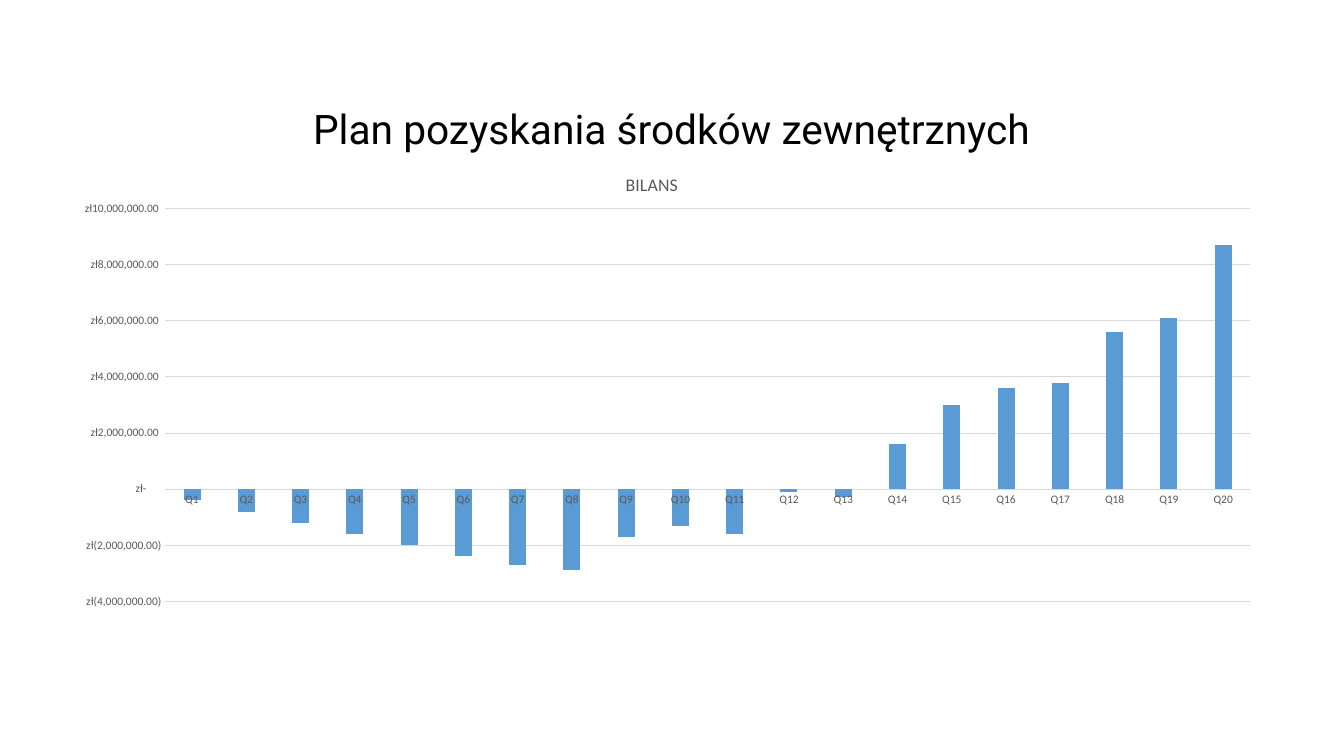
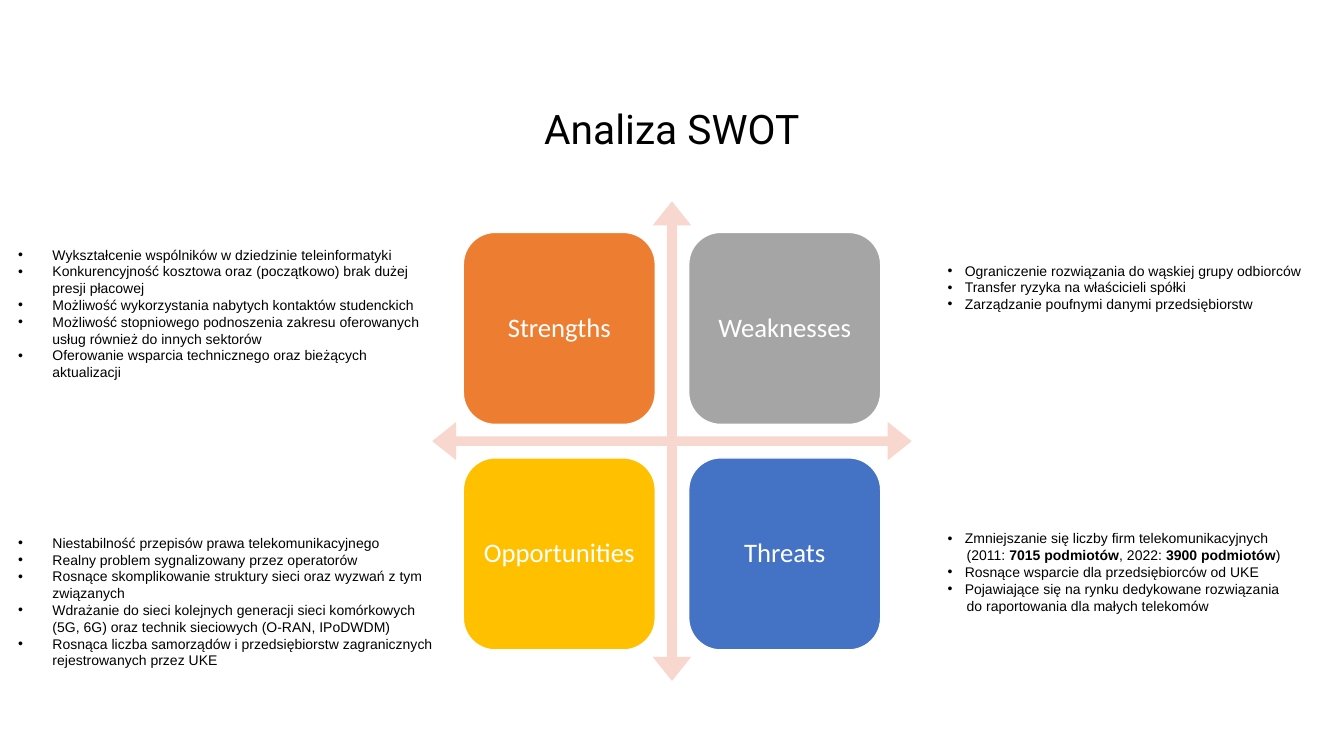
"""Builds the funding chart slide and the SWOT slide."""
from dataclasses import dataclass
from typing import Any, NamedTuple

from lxml import etree
from pptx import Presentation
from pptx.chart.chart import Chart
from pptx.chart.data import CategoryChartData
from pptx.dml.color import RGBColor
from pptx.enum.chart import XL_CHART_TYPE, XL_TICK_MARK
from pptx.enum.shapes import MSO_SHAPE
from pptx.enum.text import MSO_ANCHOR, MSO_AUTO_SIZE, PP_ALIGN
from pptx.oxml.ns import qn
from pptx.slide import Slide
from pptx.util import Pt

COLUMNS = XL_CHART_TYPE.COLUMN_CLUSTERED
NO_TICK = XL_TICK_MARK.NONE
QUAD_ARROW = MSO_SHAPE.QUAD_ARROW
ROUNDED = MSO_SHAPE.ROUNDED_RECTANGLE
MIDDLE = MSO_ANCHOR.MIDDLE
FIT_SHAPE = MSO_AUTO_SIZE.SHAPE_TO_FIT_TEXT
CENTER = PP_ALIGN.CENTER

SLIDE_WIDTH, SLIDE_HEIGHT = 1057.68, 594.72


@dataclass(frozen=True)
class Theme:
    """Colours, fonts and type sizes."""
    black: str = "000000"
    white: str = "FFFFFF"
    grey: str = "595959"
    rule: str = "D9D9D9"
    bar: str = "5B9BD5"
    arrow: str = "F8D7CE"
    strengths: str = "ED7D31"
    weaknesses: str = "A5A5A5"
    opportunities: str = "FFC000"
    threats: str = "4472C4"
    title_font: str = "Roboto"
    chart_font: str = "Calibri"
    list_font: str = "Arial"
    title_size: float = 32
    tile_size: float = 21
    chart_title_size: float = 14
    chart_size: float = 10
    list_size: float = 11
    axis_size: float = 9


THEME = Theme()


class Box(NamedTuple):
    """A frame in points."""
    left: float
    top: float
    width: float
    height: float

    def emu(self) -> list[int]:
        """Returns the frame as lengths."""
        return [Pt(side) for side in self]


class Run(NamedTuple):
    """A stretch of list text."""
    text: str
    bold: bool = False


class Item(NamedTuple):
    """A list line, with a bullet or continuing the line above."""
    runs: tuple[Run, ...]
    bullet: bool = True


class Quarter(NamedTuple):
    """One SWOT tile with its list."""
    label: str
    color: str
    notes: Box
    indent: float
    items: tuple[Item, ...]


def line(text: str, bullet: bool = True) -> Item:
    """Makes a plain list line."""
    return Item((Run(text),), bullet)


TITLE_BOX = Box(72.72, 59.04, 912.24, 87.84)
CHART_BOX = Box(41.04, 121.68, 943.92, 357.12)
PLOT_LAYOUT = {"layoutTarget": "inner", "xMode": "edge", "yMode": "edge",
               "x": "0.094", "y": "0.119", "w": "0.905", "h": "0.865"}
ZLOTY = r'_("zł"* #,##0.00_);_("zł"* \(#,##0.00\);_("zł"* "-"??_);_(@_)'
MILLION = 1_000_000
BALANCE_MILLIONS = (-0.4, -0.8, -1.2, -1.6, -2, -2.4, -2.7, -2.9, -1.7, -1.3,
                    -1.6, -0.1, -0.3, 1.6, 3, 3.6, 3.8, 5.6, 6.1, 8.7)

ARROW_SIDE, TILE_SIDE, TILE_GAP = 377.28, 151, 26.4
CROSS_X, CROSS_Y = SLIDE_WIDTH / 2, 347.04
WIDE_INDENT, NARROW_INDENT, CONTINUED_INDENT = 27, 13.5, 15

QUARTERS = (
    Quarter("Strengths", THEME.strengths, Box(7.2, 190.08, 345.6, 108.4), WIDE_INDENT, (
        line("Wykształcenie wspólników w dziedzinie teleinformatyki"),
        line("Konkurencyjność kosztowa oraz (początkowo) brak dużej presji płacowej"),
        line("Możliwość wykorzystania nabytych kontaktów studenckich"),
        line("Możliwość stopniowego podnoszenia zakresu oferowanych usług również do innych sektorów"),
        line("Oferowanie wsparcia technicznego oraz bieżących aktualizacji"),
    )),
    Quarter("Weaknesses", THEME.weaknesses, Box(738.72, 202.7, 300.24, 88), NARROW_INDENT, (
        line("Ograniczenie rozwiązania do wąskiej grupy odbiorców"),
        line("Transfer ryzyka na właścicieli spółki"),
        line("Zarządzanie poufnymi danymi przedsiębiorstw"),
    )),
    Quarter("Opportunities", THEME.opportunities, Box(7.2, 416.88, 351.36, 127.44), WIDE_INDENT, (
        line("Niestabilność przepisów prawa telekomunikacyjnego"),
        line("Realny problem sygnalizowany przez operatorów"),
        line("Rosnące skomplikowanie struktury sieci oraz wyzwań z tym związanych"),
        line("Wdrażanie do sieci kolejnych generacji sieci komórkowych (5G, 6G) "
             "oraz technik sieciowych (O-RAN, IPoDWDM)"),
        line("Rosnąca liczba samorządów i przedsiębiorstw zagranicznych rejestrowanych przez UKE"),
    )),
    Quarter("Threats", THEME.threats, Box(738.72, 413.28, 285.12, 87.12), NARROW_INDENT, (
        line("Zmniejszanie się liczby firm telekomunikacyjnych"),
        Item((Run("(2011: "), Run("7015 podmiotów", True), Run(", 2022: "),
              Run("3900 podmiotów", True), Run(")")), False),
        line("Rosnące wsparcie dla przedsiębiorców od UKE"),
        line("Pojawiające się na rynku dedykowane rozwiązania"),
        line("do raportowania dla małych telekomów", False),
    )),
)


def apply(target: Any, values: dict[str, Any]) -> None:
    """Sets each named attribute on the target."""
    for name, value in values.items():
        setattr(target, name, value)


def style_font(font: Any, name: str, size: float, color: str, bold: bool = False) -> None:
    """Formats a font."""
    apply(font, {"name": name, "size": Pt(size), "bold": bold})
    font.color.rgb = RGBColor.from_string(color)


def fill_solid(target: Any, color: str) -> None:
    """Gives a solid fill."""
    target.fill.solid()
    target.fill.fore_color.rgb = RGBColor.from_string(color)


def style_line(border: Any, color: str, width: float) -> None:
    """Gives a solid line."""
    border.color.rgb = RGBColor.from_string(color)
    border.width = Pt(width)


def write_centered(frame: Any, text: str, font: str, size: float, color: str) -> None:
    """Writes one centred line in the middle of a frame."""
    apply(frame, {"word_wrap": True, "vertical_anchor": MIDDLE})
    paragraph = frame.paragraphs[0]
    apply(paragraph, {"alignment": CENTER, "line_spacing": 0.9})
    run = paragraph.add_run()
    run.text = text
    style_font(run.font, font, size, color)


def add_titled_slide(deck: Any, title: str) -> Slide:
    """Adds a blank slide with the shared title."""
    slide = deck.slides.add_slide(deck.slide_layouts[6])
    heading = slide.shapes.add_textbox(*TITLE_BOX.emu())
    write_centered(heading.text_frame, title, THEME.title_font, THEME.title_size, THEME.black)
    return slide


def place_plot(chart: Chart) -> None:
    """Fixes the inner plot area."""
    plot_area = chart.element.find(".//" + qn("c:plotArea"))
    for automatic in plot_area.findall(qn("c:layout")):
        plot_area.remove(automatic)
    layout = etree.Element(qn("c:layout"))
    manual = etree.SubElement(layout, qn("c:manualLayout"))
    for tag, value in PLOT_LAYOUT.items():
        etree.SubElement(manual, qn(f"c:{tag}")).set("val", value)
    plot_area.insert(0, layout)


def add_balance_chart(slide: Slide) -> None:
    """Draws the quarterly balance."""
    data = CategoryChartData(number_format=ZLOTY)
    data.categories = [f"Q{number}" for number in range(1, len(BALANCE_MILLIONS) + 1)]
    data.add_series("BILANS", [round(value * MILLION) for value in BALANCE_MILLIONS])
    chart = slide.shapes.add_chart(COLUMNS, *CHART_BOX.emu(), data).chart
    style_font(chart.font, THEME.chart_font, THEME.chart_size, THEME.black)
    apply(chart, {"has_legend": False, "has_title": True})
    chart.chart_title.include_in_layout = False
    caption = chart.chart_title.text_frame.paragraphs[0].add_run()
    caption.text = "BILANS"
    style_font(caption.font, THEME.chart_font, THEME.chart_title_size, THEME.grey)

    bars = chart.plots[0]
    apply(bars, {"gap_width": 219, "overlap": -27, "vary_by_categories": False})
    balance = bars.series[0]
    balance.invert_if_negative = False
    fill_solid(balance.format, THEME.bar)

    quarters, amounts = chart.category_axis, chart.value_axis
    for axis in (quarters, amounts):
        apply(axis, {"major_tick_mark": NO_TICK, "minor_tick_mark": NO_TICK})
        style_font(axis.tick_labels.font, THEME.chart_font, THEME.axis_size, THEME.grey)
    style_line(quarters.format.line, THEME.rule, 0.75)
    apply(amounts, {"minimum_scale": -4 * MILLION, "maximum_scale": 10 * MILLION,
                    "major_unit": 2 * MILLION, "has_major_gridlines": True})
    amounts.format.line.fill.background()
    style_line(amounts.major_gridlines.format.line, THEME.rule, 0.75)
    apply(amounts.tick_labels, {"number_format": ZLOTY, "number_format_is_linked": False})
    place_plot(chart)


def add_cross(slide: Slide) -> None:
    """Draws the four-way arrow behind the tiles."""
    half = ARROW_SIDE / 2
    frame = Box(CROSS_X - half, CROSS_Y - half, ARROW_SIDE, ARROW_SIDE)
    cross = slide.shapes.add_shape(QUAD_ARROW, *frame.emu())
    for index, value in enumerate((0.02, 0.04, 0.05)):
        cross.adjustments[index] = value
    cross.shadow.inherit = False
    fill_solid(cross, THEME.arrow)
    cross.line.fill.background()


def add_tile(slide: Slide, quarter: Quarter, row: int, column: int) -> None:
    """Draws one labelled tile of the two-by-two grid."""
    pitch = TILE_SIDE + TILE_GAP
    start = TILE_SIDE + TILE_GAP / 2
    frame = Box(CROSS_X - start + column * pitch, CROSS_Y - start + row * pitch,
                TILE_SIDE, TILE_SIDE)
    tile = slide.shapes.add_shape(ROUNDED, *frame.emu())
    tile.shadow.inherit = False
    fill_solid(tile, quarter.color)
    style_line(tile.line, THEME.white, 1)
    apply(tile.text_frame, {"margin_left": 0, "margin_right": 0})
    write_centered(tile.text_frame, quarter.label, THEME.chart_font, THEME.tile_size, THEME.white)


def add_notes_list(slide: Slide, quarter: Quarter) -> None:
    """Writes the bulleted list of one quarter."""
    frame = slide.shapes.add_textbox(*quarter.notes.emu()).text_frame
    apply(frame, {"word_wrap": True, "auto_size": FIT_SHAPE})
    for index, item in enumerate(quarter.items):
        paragraph = frame.add_paragraph() if index else frame.paragraphs[0]
        properties = paragraph._p.get_or_add_pPr()
        indent = quarter.indent if item.bullet else CONTINUED_INDENT
        properties.set("marL", str(Pt(indent)))
        if item.bullet:
            properties.set("indent", str(-Pt(indent)))
            etree.SubElement(properties, qn("a:buFont")).set("typeface", THEME.list_font)
            etree.SubElement(properties, qn("a:buChar")).set("char", "•")
        for part in item.runs:
            run = paragraph.add_run()
            run.text = part.text
            style_font(run.font, THEME.list_font, THEME.list_size, THEME.black, part.bold)


def main() -> None:
    """Builds and saves the deck."""
    deck = Presentation()
    apply(deck, {"slide_width": Pt(SLIDE_WIDTH), "slide_height": Pt(SLIDE_HEIGHT)})
    add_balance_chart(add_titled_slide(deck, "Plan pozyskania środków zewnętrznych"))
    swot = add_titled_slide(deck, "Analiza SWOT")
    add_cross(swot)
    for index, quarter in enumerate(QUARTERS):
        add_tile(swot, quarter, *divmod(index, 2))
        add_notes_list(swot, quarter)
    deck.save("out.pptx")


if __name__ == "__main__":
    main()
